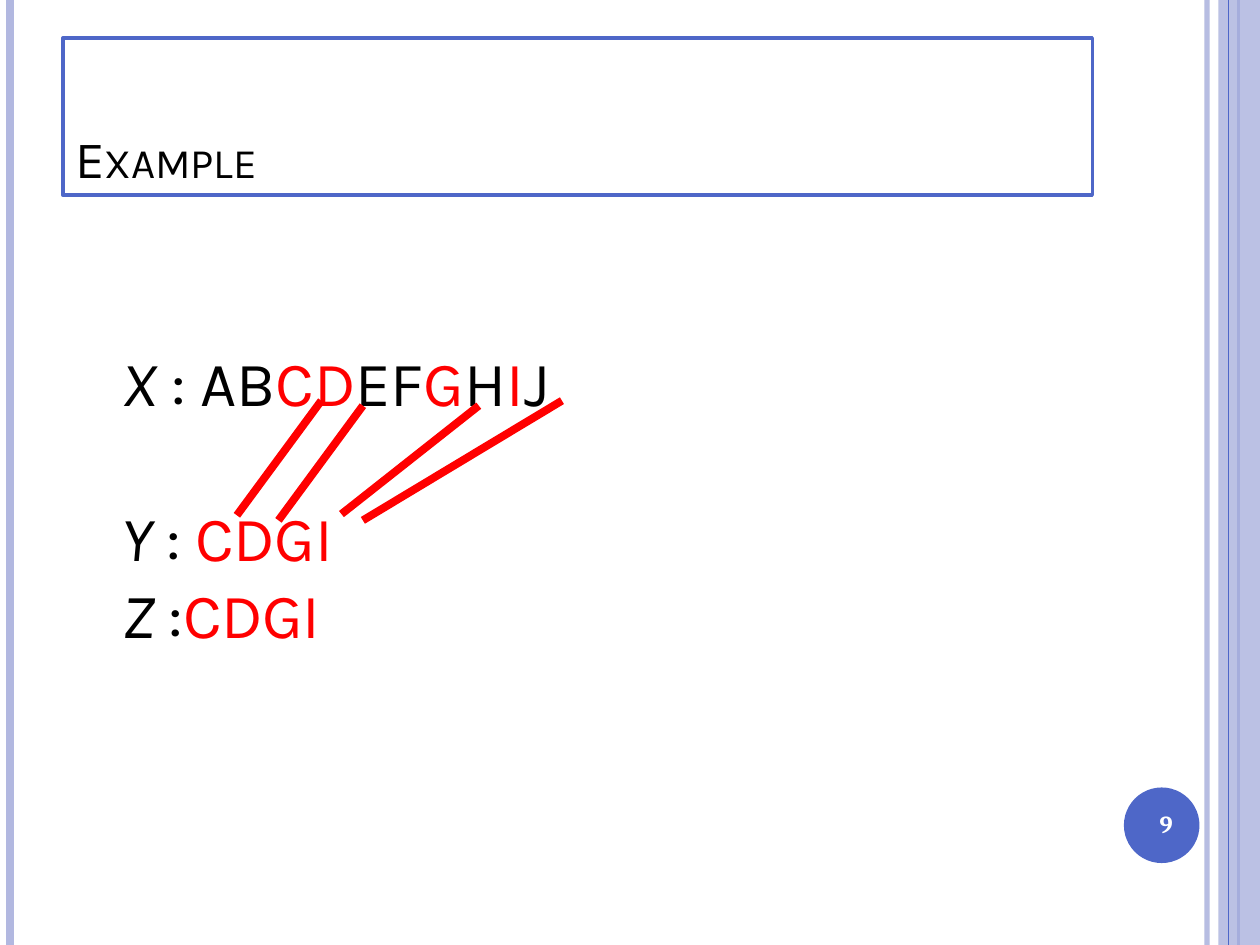
from lxml.etree import SubElement
from pptx import Presentation
from pptx.dml.color import RGBColor
from pptx.enum.shapes import MSO_CONNECTOR, MSO_SHAPE
from pptx.enum.text import MSO_ANCHOR, PP_ALIGN
from pptx.oxml.ns import qn
from pptx.util import Inches, Pt

COLORS = {"accent": "4E67C8", "pale": "B2B8E0", "match": "FF0000",
          "text": "000000", "white": "FFFFFF"}

TITLE = "Example"
PAGE_NUMBER = "9"

# Each sequence: name, separator, (letters, colour) groups, space before in points
SEQUENCES = [
    ("X ", ": ", [("AB", "text"), ("CD", "match"), ("EF", "text"), ("G", "match"),
                  ("H", "text"), ("I", "match"), ("J", "text")], 0),
    ("Y ", ": ", [("CDGI", "match")], 45),
    ("Z ", ":", [("CDGI", "match")], 0.7),
]
# Matching letters: from the Y row up to the X row
MATCHES = [((1.88, 4.09), (2.55, 3.18)), ((2.21, 4.13), (2.88, 3.22)),
           ((2.71, 4.08), (3.8, 3.22)), ((2.88, 4.13), (4.46, 3.18))]

# Full-height rules: x, colour, width in points, opacity in percent
RULES_BEHIND = [(9.58, "pale", 3, 93), (0.08, "pale", 4.5, 100),
                (9.83, "accent", 1.5, 100)]
RULES_FRONT = [(9.75, "accent", 0.75, 100)]

SLIDE_W, SLIDE_H = 10, 7.5
SEQUENCE_FORMAT = {"name": "Karla", "size": Pt(36)}
TITLE_FORMAT = {"name": "Karla", "size": Pt(30)}
NUMBER_FORMAT = {"name": "Cambria", "size": Pt(14), "bold": True}


def rgb(color):
    return RGBColor.from_string(COLORS[color])


def set_opacity(fill, percent):
    color = fill._xPr.find(qn("a:solidFill"))[0]
    SubElement(color, qn("a:alpha"), val=str(percent * 1000))


def add_line(start, end, color, width, opacity=100):
    line = slide.shapes.add_connector(
        MSO_CONNECTOR.STRAIGHT, *map(Inches, (*start, *end)))
    line.line.color.rgb = rgb(color)
    line.line.width = Pt(width)
    if opacity < 100:
        set_opacity(line.line.fill, opacity)
    SubElement(line._element.spPr, qn("a:effectLst"))


def add_rules(rules):
    for x, *style in rules:
        add_line((x, 0), (x, SLIDE_H), *style)


def add_panel(kind, box, fill, outline=None):
    panel = slide.shapes.add_shape(kind, *map(Inches, box))
    panel.shadow.inherit = False
    panel.fill.solid()
    panel.fill.fore_color.rgb = rgb(fill)
    if outline:
        panel.line.color.rgb = rgb(outline)
        panel.line.width = Pt(2)
    else:
        panel.line.fill.background()
    return panel


def add_run(paragraph, text, color, font_format, **attributes):
    run = paragraph.add_run()
    run.text = text
    for key, value in font_format.items():
        setattr(run.font, key, value)
    run.font.color.rgb = rgb(color)
    for key, value in attributes.items():
        run._r.get_or_add_rPr().set(key, value)


prs = Presentation()
prs.slide_width, prs.slide_height = Inches(SLIDE_W), Inches(SLIDE_H)
slide = prs.slides.add_slide(prs.slide_layouts[6])

# Side decoration
add_rules(RULES_BEHIND)
side_band = add_panel(MSO_SHAPE.RECTANGLE, (9.67, 0, 0.33, SLIDE_H), "pale")
set_opacity(side_band.fill, 87)
add_rules(RULES_FRONT)
add_panel(MSO_SHAPE.OVAL, (8.92, 6.25, 0.6, 0.6), "accent")

# Title
title = add_panel(MSO_SHAPE.RECTANGLE, (0.5, 0.3, 8.17, 1.25), "white", "accent")
title.text_frame.vertical_anchor = MSO_ANCHOR.BOTTOM
heading = title.text_frame.paragraphs[0]
heading.alignment = PP_ALIGN.LEFT
add_run(heading, TITLE, "text", TITLE_FORMAT, cap="small", spc="-10")

# Sequences
sequences = slide.shapes.add_textbox(*map(Inches, (0.71, 2.68, 8.33, 2.59))).text_frame
sequences.word_wrap = True
for index, (name, separator, groups, space) in enumerate(SEQUENCES):
    row = sequences.add_paragraph() if index else sequences.paragraphs[0]
    row._p.get_or_add_pPr().set("marL", str(Inches(0.16)))
    row.space_before = Pt(space)
    add_run(row, name, "text", {**SEQUENCE_FORMAT, "italic": True}, spc="-20")
    add_run(row, separator, "text", SEQUENCE_FORMAT, spc="-10")
    for letters, color in groups:
        add_run(row, letters, color, SEQUENCE_FORMAT, spc="-20")

# Lines between matching letters
for start, end in MATCHES:
    add_line(start, end, "match", 4.5)

# Page number
number = slide.shapes.add_textbox(*map(Inches, (8.92, 6.25, 0.67, 0.57))).text_frame
number.word_wrap = True
number.vertical_anchor = MSO_ANCHOR.MIDDLE
number.paragraphs[0].alignment = PP_ALIGN.CENTER
add_run(number.paragraphs[0], PAGE_NUMBER, "white", NUMBER_FORMAT)

prs.save("out.pptx")
